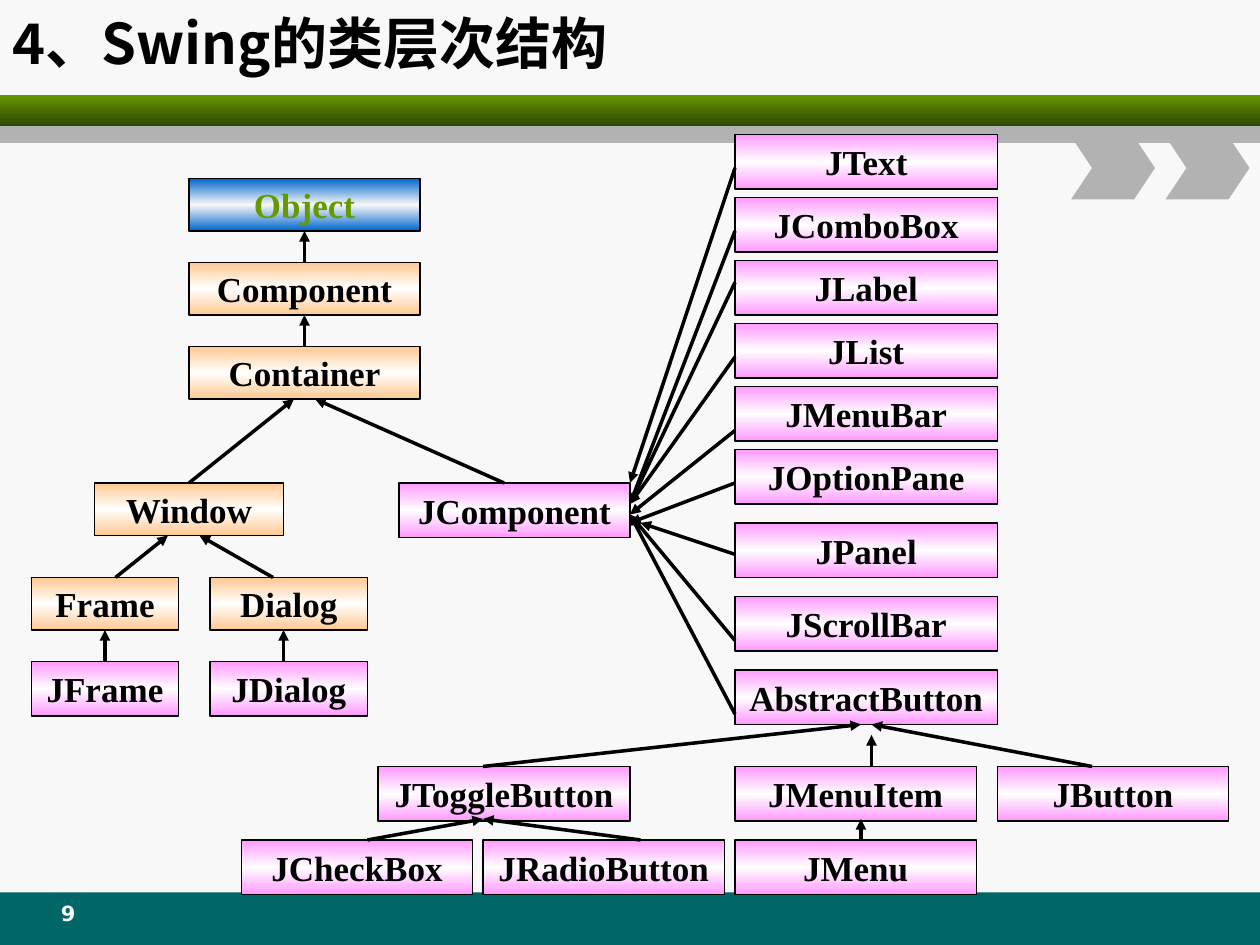
from copy import deepcopy

from lxml.etree import SubElement
from pptx import Presentation
from pptx.dml.color import RGBColor
from pptx.enum.shapes import MSO_CONNECTOR, MSO_SHAPE
from pptx.enum.text import MSO_ANCHOR, PP_ALIGN
from pptx.oxml.ns import qn
from pptx.util import Inches, Pt

BLACK = RGBColor(0, 0, 0)
WHITE = RGBColor(255, 255, 255)
PAPER = RGBColor(0xF8, 0xF8, 0xF8)
TEAL = RGBColor(0, 0x66, 0x66)
GREEN = RGBColor(0x66, 0x99, 0)
DARK_GREEN = RGBColor(0x2F, 0x47, 0)
GRAY = RGBColor(0xB2, 0xB2, 0xB2)
BLUE = RGBColor(0, 0x66, 0xCC)
ORANGE = RGBColor(0xFF, 0xC8, 0x91)
PINK = RGBColor(0xFF, 0x99, 0xFF)

COLS, ROWS = 120, 90
BOX_H, SWING_H = 5, 5.2
LIST_X, LIST_W = 70, 25

AWT_BOXES = [
    ("Component", 18, 25, 22), ("Container", 18, 33, 22), ("Window", 9, 46, 18),
    ("Frame", 3, 55, 14), ("Dialog", 20, 55, 15),
]
SWING_BOXES = [
    ("JFrame", 3, 63, 14), ("JDialog", 20, 63, 15), ("JComponent", 38, 46, 22),
    ("JToggleButton", 36, 73, 24), ("JMenuItem", 70, 73, 23), ("JButton", 95, 73, 22),
    ("JCheckBox", 23, 80, 22), ("JRadioButton", 46, 80, 23), ("JMenu", 70, 80, 23),
]
CLOSE_LIST = ["JText", "JComboBox", "JLabel", "JList", "JMenuBar", "JOptionPane"]
WIDE_LIST = ["JPanel", "JScrollBar", "AbstractButton"]
TREE_ARROWS = [
    (29, 25, 29, 22), (29, 33, 29, 30), (18, 46, 28, 38), (48, 46, 30, 38),
    (11, 55, 16, 51), (26, 55, 19, 51), (10, 63, 10, 60), (27, 63, 27, 60),
    (46, 73, 82, 69), (83, 73, 83, 70), (104, 73, 83, 69),
    (35, 80, 46, 78), (61, 80, 46, 78), (82, 80, 82, 78),
]
LIST_ARROWS = [
    (16, 60, 46), (22, 60, 48), (26.9, 60, 48), (34, 60, 48), (41, 60, 49),
    (46, 60, 49.8), (52.8, 61, 49.8), (61, 60, 49), (68, 60, 49),
]


def u(n):
    return Inches(n / 12)


def write(s, text, *, size, font, color=BLACK, align=PP_ALIGN.CENTER):
    tf = s.text_frame
    tf.word_wrap = False
    tf.vertical_anchor = MSO_ANCHOR.MIDDLE
    p = tf.paragraphs[0]
    p.alignment = align
    r = p.add_run()
    r.text = text
    r.font.size = Pt(size)
    r.font.bold = True
    r.font.name = font
    r.font.color.rgb = color
    SubElement(r.font._element, qn("a:ea")).set("typeface", font)


def label(slide, x, y, w, h, text, **fmt):
    write(slide.shapes.add_textbox(u(x), u(y), u(w), u(h)), text, **fmt)


def paint(s, *colors):
    s.shadow.inherit = False
    if len(colors) == 1:
        s.fill.solid()
        s.fill.fore_color.rgb = colors[0]
        return
    s.fill.gradient()
    s.fill.gradient_angle = 270
    stops = s._element.spPr.find(qn("a:gradFill")).find(qn("a:gsLst"))
    for _ in colors[2:]:
        stops.append(deepcopy(stops[0]))
    for i, (stop, color) in enumerate(zip(s.fill.gradient_stops, colors)):
        stop.position = i / (len(colors) - 1)
        stop.color.rgb = color


def band(slide, y, h, *colors):
    s = slide.shapes.add_shape(MSO_SHAPE.RECTANGLE, 0, u(y), u(COLS), u(h))
    paint(s, *colors)
    s.line.fill.background()


def chevron(slide, x, y):
    w, h, notch = 8, 6.4, 2
    points = [(x + w - notch, y), (x + w, y + h / 2), (x + w - notch, y + h),
              (x, y + h), (x + notch, y + h / 2)]
    fb = slide.shapes.build_freeform(x, y, scale=Inches(1) / 12)
    fb.add_line_segments(points, close=True)
    s = fb.convert_to_shape()
    paint(s, GRAY)
    s.line.fill.background()


def class_box(slide, name, x, y, w, h=SWING_H, edge=PINK, middle=WHITE, color=BLACK):
    s = slide.shapes.add_shape(MSO_SHAPE.RECTANGLE, u(x), u(y), u(w), u(h))
    paint(s, edge, middle, edge)
    s.line.color.rgb = BLACK
    s.line.width = Pt(0.75)
    write(s, name, size=20, font="Times New Roman", color=color)


def arrow(slide, x1, y1, x2, y2):
    c = slide.shapes.add_connector(MSO_CONNECTOR.STRAIGHT, u(x1), u(y1), u(x2), u(y2))
    c.line.color.rgb = BLACK
    c.line.width = Pt(2)
    pr = c._element.spPr
    SubElement(pr.find(qn("a:ln")), qn("a:tailEnd")).set("type", "triangle")
    SubElement(pr, qn("a:effectLst"))


def draw_frame(slide):
    slide.background.fill.solid()
    slide.background.fill.fore_color.rgb = PAPER
    band(slide, 85, 5, TEAL)
    band(slide, 9, 3, GREEN, DARK_GREEN)
    band(slide, 12, 1.6, GRAY)
    for x in (101.7, 110.55):
        chevron(slide, x, 12.8)
    label(slide, 3, 85, 7, 4, "9", size=12, font="DejaVu Sans", color=PAPER)
    label(slide, 0, 0, 102, 8, "4、Swing的类层次结构", size=32,
          font="Noto Sans CJK SC", align=PP_ALIGN.LEFT)


def draw_classes(slide):
    class_box(slide, "Object", 18, 17, 22, BOX_H, BLUE, PAPER, GREEN)
    for box in AWT_BOXES:
        class_box(slide, *box, h=BOX_H, edge=ORANGE)
    for box in SWING_BOXES:
        class_box(slide, *box)
    for names, top, pitch in ((CLOSE_LIST, 12.8, 6), (WIDE_LIST, 49.8, 7)):
        for i, name in enumerate(names):
            class_box(slide, name, LIST_X, top + i * pitch, LIST_W)


def draw_arrows(slide):
    for ends in TREE_ARROWS:
        arrow(slide, *ends)
    for ends in LIST_ARROWS:
        arrow(slide, LIST_X, *ends)


def main():
    prs = Presentation()
    prs.slide_width, prs.slide_height = u(COLS), u(ROWS)
    slide = prs.slides.add_slide(prs.slide_layouts[6])
    draw_frame(slide)
    draw_classes(slide)
    draw_arrows(slide)
    prs.save("out.pptx")


if __name__ == "__main__":
    main()
